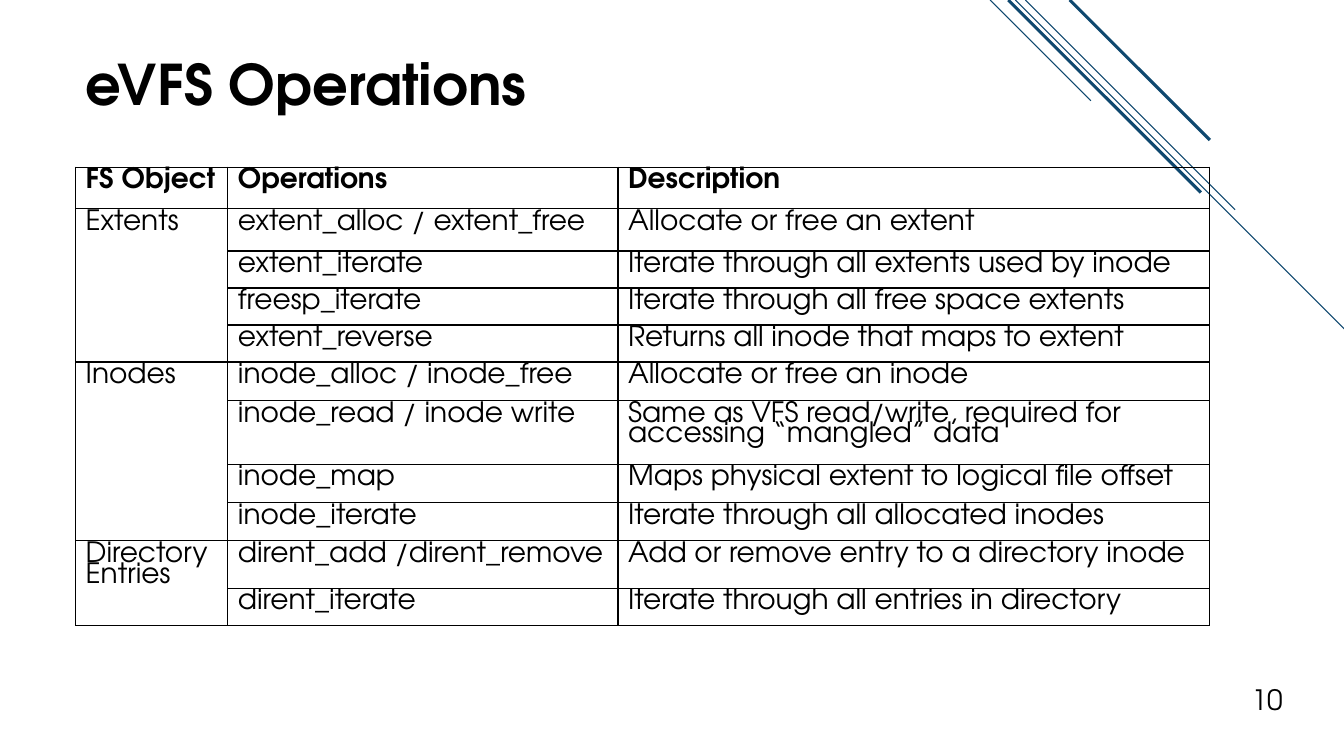
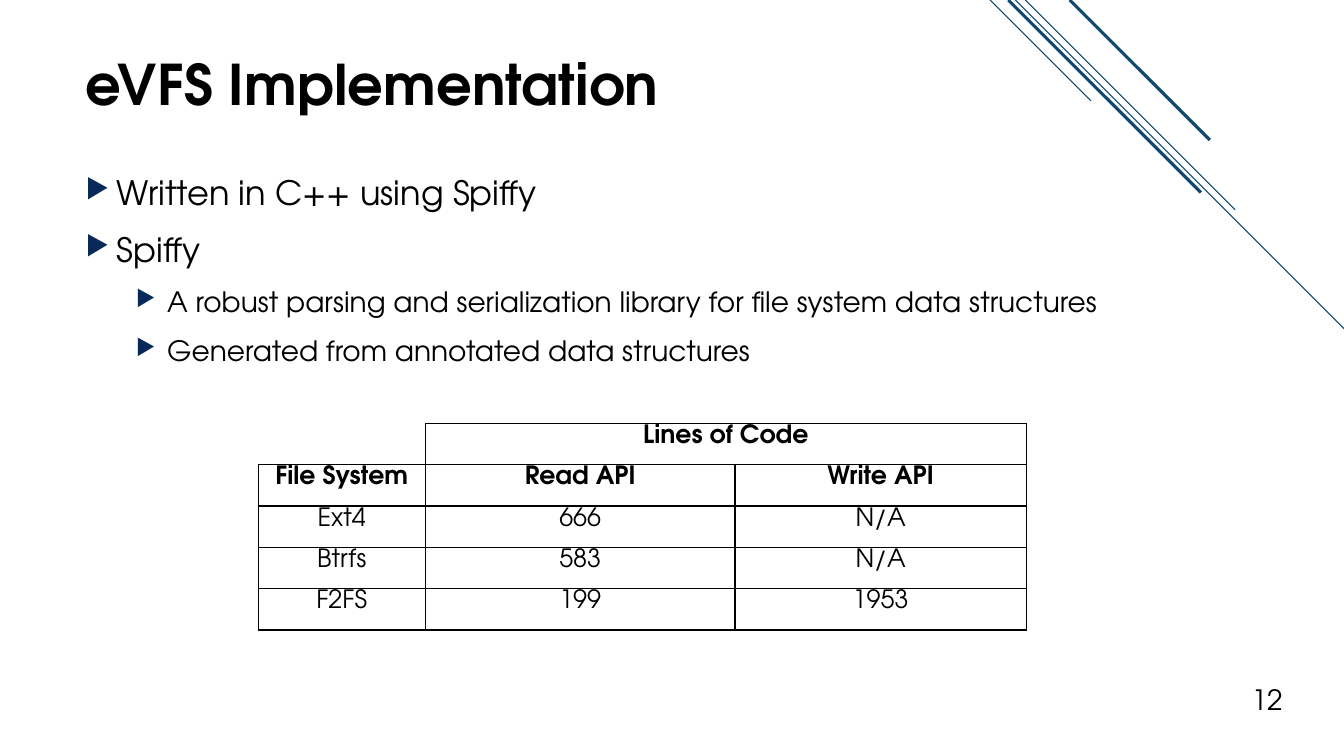
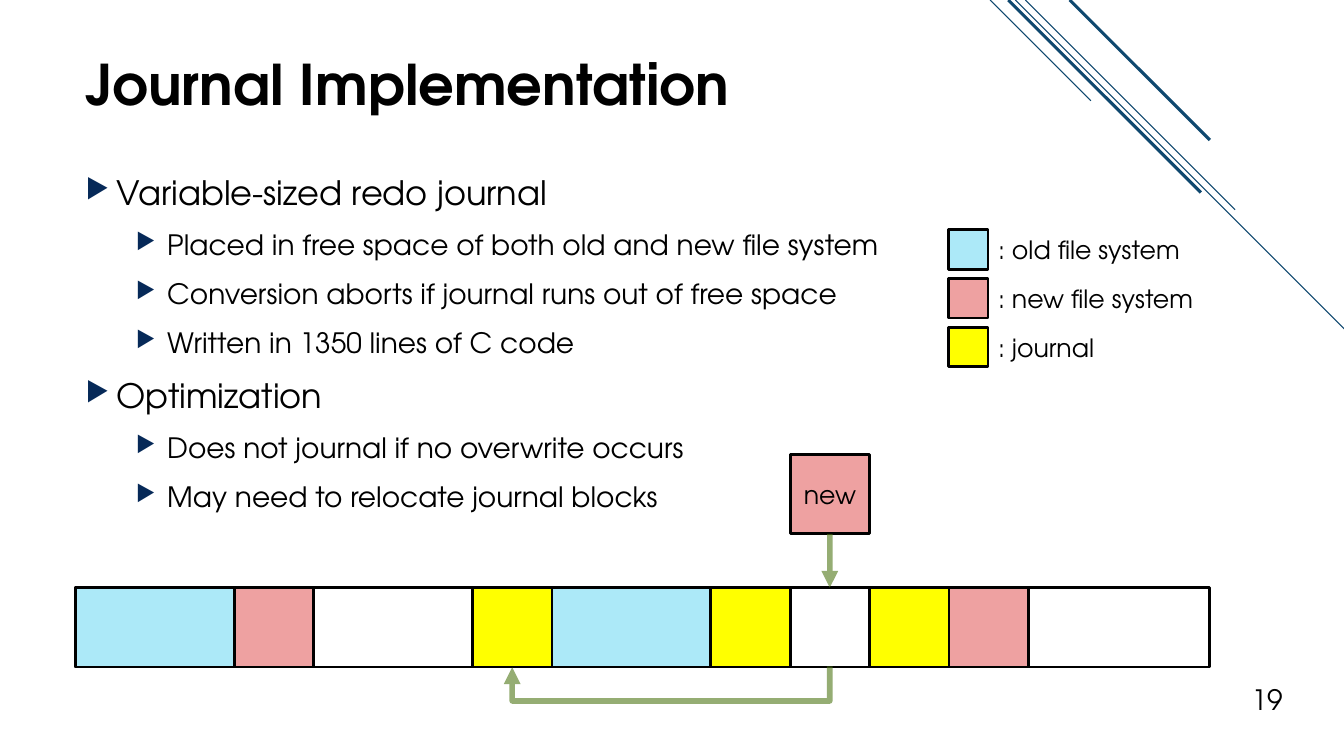
"""Build three slides on eVFS operations, its implementation and its journal."""
from dataclasses import dataclass

from lxml.etree import SubElement
from pptx import Presentation
from pptx.dml.color import RGBColor
from pptx.enum.shapes import MSO_CONNECTOR, MSO_SHAPE
from pptx.enum.text import MSO_ANCHOR, PP_ALIGN
from pptx.oxml.ns import qn
from pptx.shapes.connector import Connector
from pptx.util import Inches, Pt


@dataclass(frozen=True)
class Theme:
    font: str = "TeX Gyre Adventor"
    ink: RGBColor = RGBColor.from_string("000000")
    stripe: RGBColor = RGBColor.from_string("0F486F")
    arrow: RGBColor = RGBColor.from_string("4F7717")
    old: RGBColor = RGBColor.from_string("ACE9F8")
    new: RGBColor = RGBColor.from_string("EEA1A1")
    journal: RGBColor = RGBColor.from_string("FFFF00")
    bullet: str = "062958"
    title: int = 40
    level: tuple = (24, 20)
    number: int = 20
    label: int = 18


T = Theme()
LEFT, WIDTH = 0.75, 11.25
STRIPES = [(9.82, 1, 0.75), (10.07, 3.27, 0.75), (10.17, 2.08, 0.75),
           (10, 1.91, 2.25), (10.61, 1.39, 2.25)]
DECK = [
    ("eVFS Operations", "10", []),
    ("eVFS Implementation", "12", [
        (0, "Written in C++ using Spiffy"),
        (0, "Spiffy"),
        (1, "A robust parsing and serialization library for file system data structures"),
        (1, "Generated from annotated data structures")]),
    ("Journal Implementation", "19", [
        (0, "Variable-sized redo journal"),
        (1, "Placed in free space of both old and new file system"),
        (1, "Conversion aborts if journal runs out of free space"),
        (1, "Written in 1350 lines of C code"),
        (0, "Optimization"),
        (1, "Does not journal if no overwrite occurs"),
        (1, "May need to relocate journal blocks")]),
]
OPERATIONS = [
    ("FS Object", "Operations", "Description"),
    ("Extents", "extent_alloc / extent_free", "Allocate or free an extent"),
    ("", "extent_iterate", "Iterate through all extents used by inode"),
    ("", "freesp_iterate", "Iterate through all free space extents"),
    ("", "extent_reverse", "Returns all inode that maps to extent"),
    ("Inodes", "inode_alloc / inode_free", "Allocate or free an inode"),
    ("", "inode_read / inode write",
     "Same as VFS read/write, required for accessing “mangled” data"),
    ("", "inode_map", "Maps physical extent to logical file offset"),
    ("", "inode_iterate", "Iterate through all allocated inodes"),
    ("Directory Entries", "dirent_add /dirent_remove",
     "Add or remove entry to a directory inode"),
    ("", "dirent_iterate", "Iterate through all entries in directory"),
]
CODE_LINES = [
    ("", "Lines of Code", ""),
    ("File System", "Read API", "Write API"),
    ("Ext4", "666", "N/A"),
    ("Btrfs", "583", "N/A"),
    ("F2FS", "199", "1953"),
]


def put_text(p, text, size, bold=False, align=PP_ALIGN.LEFT):
    p.alignment = align
    r = p.add_run()
    r.text = text
    r.font.name, r.font.size, r.font.bold = T.font, Pt(size), bold
    r.font.color.rgb = T.ink


def put_table(s, left, top, cols, heights, rows, heads, size, align, merges):
    frame = s.shapes.add_table(len(rows), len(cols), Inches(left), Inches(top),
                               Inches(sum(cols)), Inches(sum(heights)))
    table = frame.table
    table.first_row = table.horz_banding = False
    for column, width in zip(table.columns, cols):
        column.width = Inches(width)
    for i, (row, height) in enumerate(zip(rows, heights)):
        table.rows[i].height = Inches(height)
        for j, text in enumerate(row):
            cell = table.cell(i, j)
            corner = i == j == 0 and not text
            for side in ("lnR", "lnB") if corner else ("lnL", "lnR", "lnT", "lnB"):
                ln = SubElement(cell._tc.get_or_add_tcPr(), qn("a:" + side), w=str(Pt(1)))
                SubElement(SubElement(ln, qn("a:solidFill")), qn("a:srgbClr"), val=str(T.ink))
            cell.fill.background()
            if text:
                p = cell.text_frame.paragraphs[0]
                p.line_spacing = 0.8
                put_text(p, text, size, i < heads, align)
    for first, last in merges:
        table.cell(*first).merge(table.cell(*last))


prs = Presentation()
prs.slide_width, prs.slide_height = Inches(13.33), Inches(7.5)

for title, number, bullets in DECK:
    s = prs.slides.add_slide(prs.slide_layouts[6])
    for x, reach, weight in STRIPES:
        line = s.shapes.add_connector(MSO_CONNECTOR.STRAIGHT, Inches(x), 0,
                                      Inches(x + reach), Inches(reach))
        line.line.color.rgb, line.line.width = T.stripe, Pt(weight)
    for text, box, size, bold, align, anchor in (
            (title, (LEFT, 0, WIDTH, 1.65), T.title, True, PP_ALIGN.LEFT, MSO_ANCHOR.MIDDLE),
            (number, (12, 6.62, 0.82, 0.53), T.number, False, PP_ALIGN.RIGHT,
             MSO_ANCHOR.BOTTOM)):
        tf = s.shapes.add_textbox(*map(Inches, box)).text_frame
        tf.word_wrap, tf.vertical_anchor = True, anchor
        put_text(tf.paragraphs[0], text, size, bold, align)
    if bullets:
        tf = s.shapes.add_textbox(*map(Inches, (LEFT, 1.66, WIDTH, 4))).text_frame
        tf.word_wrap = True
    for i, (level, text) in enumerate(bullets):
        p = tf.add_paragraph() if i else tf.paragraphs[0]
        put_text(p, text, T.level[level])
        p.level = level
        p.space_before, p.space_after = Pt(T.level[level] * 0.24), Pt(6)
        pPr = p._p.get_or_add_pPr()
        pPr.set("marL", str(Inches(0.31 + 0.5 * level)))
        pPr.set("indent", str(Inches(-0.31)))
        SubElement(SubElement(pPr, qn("a:buClr")), qn("a:srgbClr"), val=T.bullet)
        SubElement(pPr, qn("a:buSzPct"), val="80000")
        SubElement(pPr, qn("a:buChar"), char="▶")

operations, implementation, s = prs.slides

put_table(operations, LEFT, 1.66, (1.51, 3.87, 5.87),
          (0.41, 0.42, *[0.34] * 3, *[0.38] * 4, 0.47, 0.29),
          OPERATIONS, 1, 20, PP_ALIGN.LEFT,
          [((1, 0), (4, 0)), ((5, 0), (8, 0)), ((9, 0), (10, 0))])
put_table(implementation, 2.56, 4.2, (1.66, 3.07, 2.89), [0.41] * 5,
          CODE_LINES, 2, T.label, PP_ALIGN.CENTER, [((0, 1), (0, 2))])

UNIT, DISK_TOP, SWATCH = 6.3 / 8, 5.83, 0.39
blocks = [(LEFT, DISK_TOP, WIDTH, UNIT, None, "")]
x = LEFT
for units, colour in ((2, T.old), (1, T.new), (2, None), (1, T.journal), (2, T.old),
                      (1, T.journal), (1, None), (1, T.journal), (1, T.new)):
    if colour:
        blocks.append((x, DISK_TOP, units * UNIT, UNIT, colour, ""))
    x += units * UNIT
for i, (colour, name) in enumerate(((T.old, "old file system"), (T.new, "new file system"),
                                    (T.journal, "journal"))):
    y = 2.28 + 0.485 * i
    blocks.append((9.41, y, SWATCH, SWATCH, colour, ""))
    tf = s.shapes.add_textbox(*map(Inches, (9.8, y, 2.18, 0.4))).text_frame
    tf.word_wrap = False
    put_text(tf.paragraphs[0], ": " + name, T.label)
blocks.append((LEFT + 9 * UNIT, 4.51, UNIT, UNIT, T.new, "new"))

for *box, colour, text in blocks:
    sp = s.shapes.add_shape(MSO_SHAPE.RECTANGLE, *map(Inches, box))
    sp.shadow.inherit = False
    sp.line.color.rgb, sp.line.width = T.ink, Pt(2)
    if colour:
        sp.fill.solid()
        sp.fill.fore_color.rgb = colour
    else:
        sp.fill.background()
    if text:
        sp.text_frame.vertical_anchor = MSO_ANCHOR.MIDDLE
        put_text(sp.text_frame.paragraphs[0], text, T.label, align=PP_ALIGN.CENTER)

write = s.shapes.add_connector(MSO_CONNECTOR.STRAIGHT,
                               *map(Inches, (8.23, 5.3, 8.23, DISK_TOP)))
write.begin_connect(sp, 2)
relocate = s.shapes.add_connector(MSO_CONNECTOR.ELBOW,
                                  *map(Inches, (6.65, 5.04, 6.66, 8.19)))
relocate._element.spPr.find(qn("a:xfrm")).set("rot", "5400000")
guides = relocate._element.spPr.find(qn("a:prstGeom")).get_or_add_avLst()
SubElement(guides, qn("a:gd"), name="adj1", fmla="val 3500000")
for arrow in (write, relocate):
    arrow.line.color.rgb, arrow.line.width = T.arrow, Pt(4)
    ln = arrow.line._get_or_add_ln()
    SubElement(ln.find(".//" + qn("a:srgbClr")), qn("a:alpha"), val="60000")
    SubElement(ln, qn("a:tailEnd"), type="triangle")

for s in prs.slides:
    for sp in s.shapes:
        if isinstance(sp, Connector):
            SubElement(sp._element.spPr, qn("a:effectLst"))

prs.save("out.pptx")
